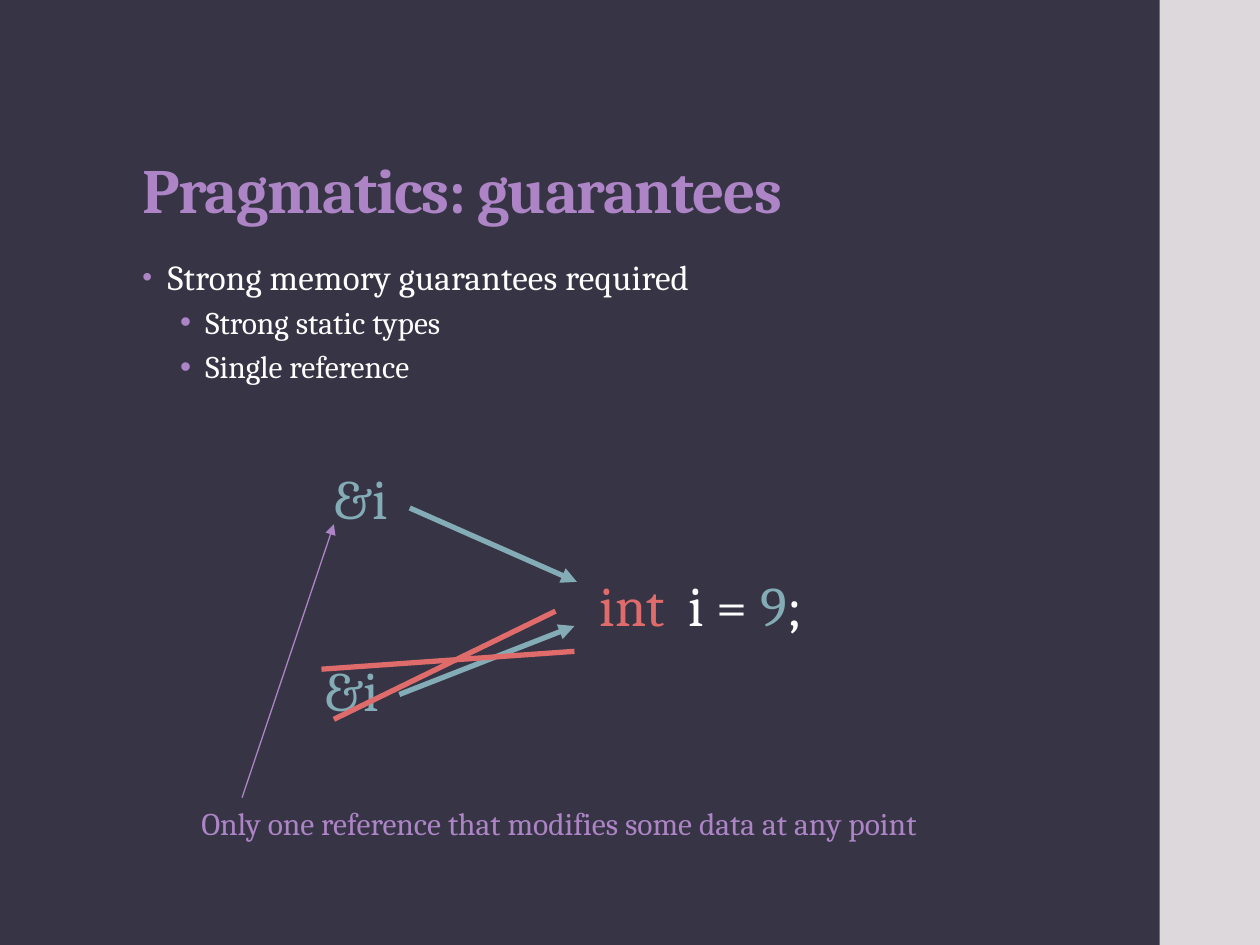
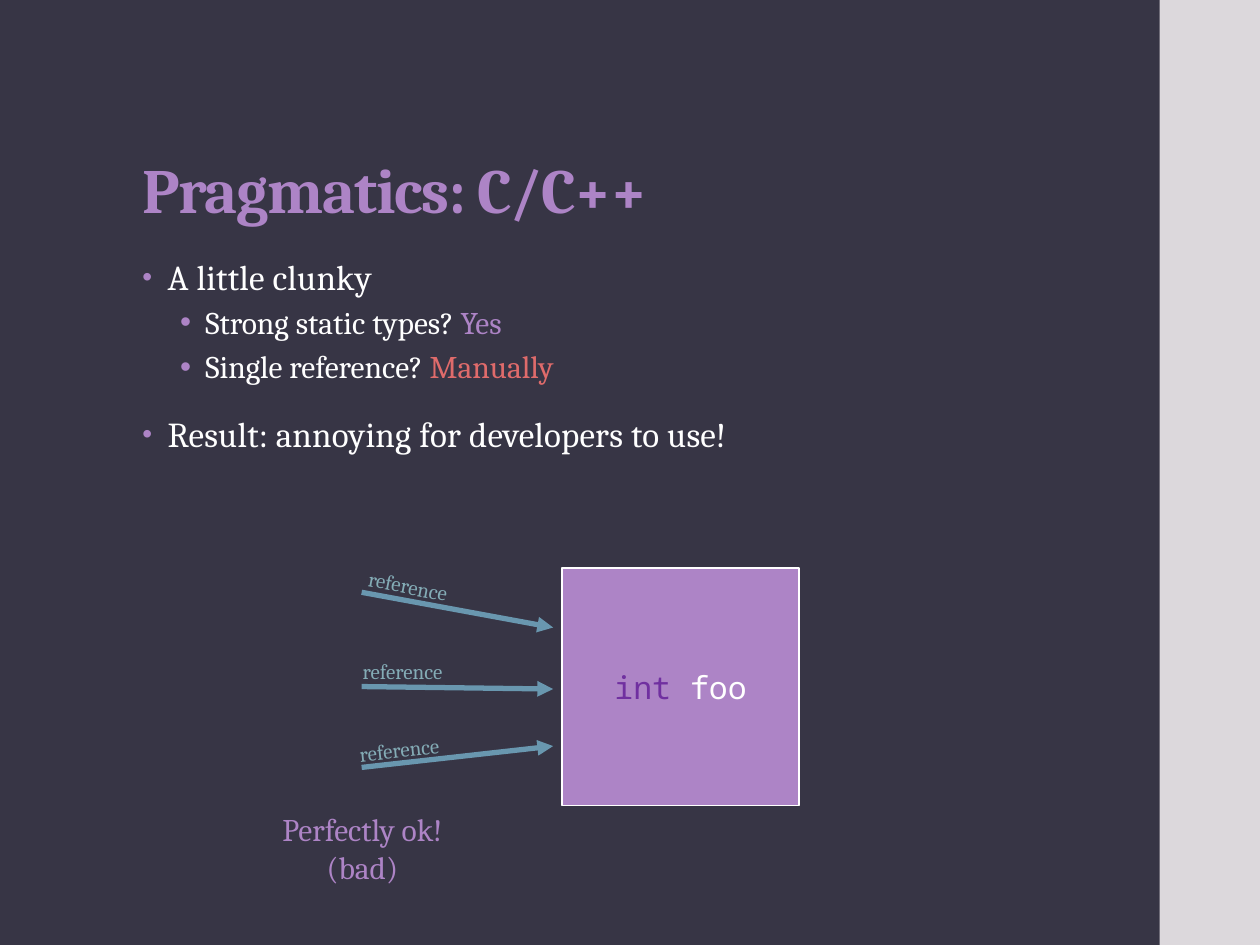
from lxml.etree import SubElement
from pptx import Presentation
from pptx.dml.color import RGBColor
from pptx.enum.shapes import MSO_CONNECTOR, MSO_SHAPE
from pptx.enum.text import MSO_ANCHOR, MSO_AUTO_SIZE, PP_ALIGN
from pptx.oxml.ns import qn
from pptx.util import Cm, Pt

DARK, BAND = "373545", "DCD8DC"
WHITE, PURPLE, TEAL, RED = "FFFFFF", "AD84C6", "84ACB6", "DF6B6B"
BLUE, VIOLET = "6997AF", "7030A0"
SERIF, MONO = "Cambria", "Noto Sans Mono"

# per level: size, left margin (cm), line spacing, before, after, bullet %, tracking
LEVELS = [(20, 0.51, 0.95, 14, 2, 80, 0.1),
          (18, 1.27, 0.9, 3, 3, 100, 0)]
HANG = 0.51


def rgb(color):
    return RGBColor.from_string(color)


class Deck:
    def __init__(self):
        self.prs = Presentation()
        self.prs.slide_width, self.prs.slide_height = Cm(25.4), Cm(19.05)
        fill = self.prs.slide_master.background.fill
        fill.solid()
        fill.fore_color.rgb = rgb(DARK)
        self.s = None

    def slide(self, title):
        """Start a slide with the side band and its title."""
        self.s = self.prs.slides.add_slide(self.prs.slide_layouts[5])
        self.rect(23.38, 0, 2.02, 19.05, BAND)
        sp = self.s.shapes.title
        sp.left, sp.top, sp.width, sp.height = Cm(2.62), Cm(1.02), Cm(20.19), Cm(3.68)
        tf = sp.text_frame
        tf.auto_size = MSO_AUTO_SIZE.NONE
        tf.vertical_anchor = MSO_ANCHOR.BOTTOM
        p = tf.paragraphs[0]
        p.alignment = PP_ALIGN.LEFT
        p.line_spacing = 0.9
        self.runs(p, [(title, PURPLE)], 36, spacing=-0.7, bold=True)

    def runs(self, p, parts, size, font=SERIF, spacing=0, bold=False):
        """Add (text, colour) parts to a paragraph."""
        for text, color in parts:
            r = p.add_run()
            r.text = text
            r.font.name, r.font.size, r.font.bold = font, Pt(size), bold
            r.font.color.rgb = rgb(color)
            if spacing:
                r._r.get_or_add_rPr().set("spc", str(round(spacing * 100)))

    def rect(self, x, y, w, h, fill, line=None):
        sp = self.s.shapes.add_shape(MSO_SHAPE.RECTANGLE, Cm(x), Cm(y), Cm(w), Cm(h))
        sp.shadow.inherit = False
        sp.fill.solid()
        sp.fill.fore_color.rgb = rgb(fill)
        if line:
            sp.line.color.rgb = rgb(line)
            sp.line.width = Pt(1.1)
        else:
            sp.line.fill.background()
        return sp

    def text(self, x, y, w, h, parts, size, align=PP_ALIGN.LEFT, rotation=0):
        sp = self.s.shapes.add_textbox(Cm(x), Cm(y), Cm(w), Cm(h))
        sp.rotation = rotation
        tf = sp.text_frame
        tf.word_wrap = True
        p = tf.paragraphs[0]
        p.alignment = align
        self.runs(p, parts, size)

    def bullets(self, items):
        """Fill the body area from (level, parts) items."""
        tf = self.s.shapes.add_textbox(Cm(2.62), Cm(5.08), Cm(17.91), Cm(12.09)).text_frame
        tf.word_wrap = True
        for i, (level, parts) in enumerate(items):
            size, margin, leading, before, after, percent, spacing = LEVELS[level]
            p = tf.add_paragraph() if i else tf.paragraphs[0]
            p.level = level
            p.line_spacing = leading
            p.space_before, p.space_after = Pt(before if i else 0), Pt(after)
            pPr = p._p.get_or_add_pPr()
            pPr.set("marL", str(Cm(margin)))
            pPr.set("indent", str(-Cm(HANG)))
            SubElement(SubElement(pPr, qn("a:buClr")), qn("a:srgbClr"), val=PURPLE)
            SubElement(pPr, qn("a:buSzPct"), val=str(percent * 1000))
            SubElement(pPr, qn("a:buFont"), typeface="Arial")
            SubElement(pPr, qn("a:buChar"), char="•")
            self.runs(p, parts, size, spacing=spacing)

    def line(self, start, end, color, width=3, arrow=True):
        cxn = self.s.shapes.add_connector(MSO_CONNECTOR.STRAIGHT, *map(Cm, start + end))
        cxn.line.color.rgb = rgb(color)
        cxn.line.width = Pt(width)
        spPr = cxn._element.spPr
        if arrow:
            SubElement(spPr.find(qn("a:ln")), qn("a:tailEnd"), type="triangle")
        SubElement(spPr, qn("a:effectLst"))


def guarantees(deck):
    deck.slide("Pragmatics: guarantees")
    deck.bullets([(0, [("Strong memory guarantees required", WHITE)]),
                  (1, [("Strong static types", WHITE)]),
                  (1, [("Single reference", WHITE)])])
    deck.text(3.81, 16.08, 18.44, 1.02,
              [("Only one reference that modifies some data at any point", PURPLE)], 18)
    deck.text(13.64, 11.38, 9.55, 1.63, [("i = ", WHITE), ("9", TEAL), (";", WHITE)], 32)
    deck.text(11.84, 11.38, 4.85, 1.63, [("int", RED)], 32)
    deck.line((8.26, 10.24), (11.63, 11.73), TEAL)
    deck.line((8.05, 14), (11.58, 12.62), TEAL)
    for x, y in [(6.48, 9.22), (6.3, 13.08)]:
        deck.text(x, y, 9.55, 1.63, [("&i", TEAL)], 32)
    deck.line((11.2, 12.32), (6.73, 14.5), RED, arrow=False)
    deck.line((11.58, 13.13), (6.48, 13.49), RED, arrow=False)
    deck.line((4.88, 16.08), (6.73, 10.57), PURPLE, width=0.75)


def c_and_cpp(deck):
    deck.slide("Pragmatics: C/C++")
    deck.bullets([(0, [("A little clunky", WHITE)]),
                  (1, [("Strong static types? ", WHITE), ("Yes", PURPLE)]),
                  (1, [("Single reference? ", WHITE), ("Manually", RED)]),
                  (0, [("Result: annoying for developers to use!", WHITE)])])
    foo = deck.rect(11.33, 11.46, 4.78, 4.78, PURPLE, WHITE)
    foo.text_frame.vertical_anchor = MSO_ANCHOR.MIDDLE
    p = foo.text_frame.paragraphs[0]
    p.alignment = PP_ALIGN.CENTER
    deck.runs(p, [("int", VIOLET), (" foo", WHITE)], 18, MONO)
    # arrow start y, arrow end y, label x, label y, label rotation
    for y1, y2, x, y, rotation in [(11.94, 12.65, 7.16, 11.56, 11.1),
                                   (13.84, 13.89, 7.06, 13.16, 0),
                                   (15.47, 15.04, 6.99, 14.66, 353.7)]:
        deck.line((7.29, y1), (11.15, y2), BLUE)
        deck.text(x, y, 3.43, 0.76, [("reference", TEAL)], 12, rotation=rotation)
    deck.text(4.83, 16.21, 4.95, 1.8, [("Perfectly ok! (bad)", PURPLE)], 18, PP_ALIGN.CENTER)


def main():
    deck = Deck()
    guarantees(deck)
    c_and_cpp(deck)
    deck.prs.save("out.pptx")


if __name__ == "__main__":
    main()
